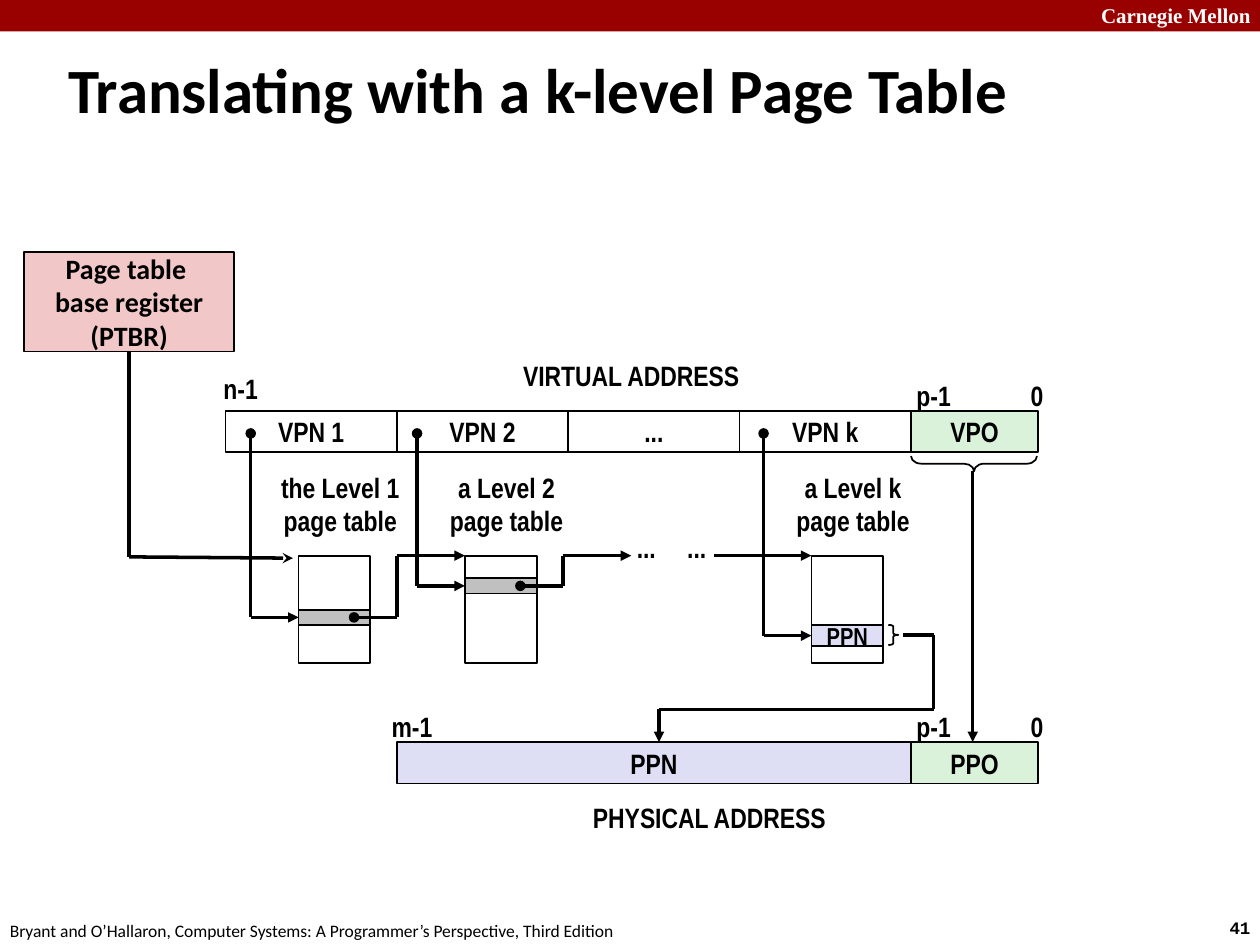
from pptx import Presentation
from pptx.dml.color import RGBColor
from pptx.enum.shapes import MSO_CONNECTOR as Conn, MSO_SHAPE as Shp
from pptx.enum.text import MSO_ANCHOR as Anch, MSO_AUTO_SIZE as Auto, PP_ALIGN as Al
from pptx.oxml.ns import qn
from pptx.util import Pt
from lxml.etree import SubElement as Sub

UNIT = 9144  # EMU in one px, 100 px to the inch
BLACK, WHITE, RED = "000000", "FFFFFF", "990000"
PINK, GREEN, LILAC, GRAY = "F1C7C7", "DBF2DA", "DEDFF5", "C0C0C0"
BOLD = {"name": "Arial Narrow", "size": Pt(16), "bold": True}
SMALL = {**BOLD, "size": Pt(14)}
CELL = 136  # width of one VPN field
BAR = 33    # height of an address bar


def px(*vals):
    return [round(v * UNIT) for v in vals]


def paint(fmt, tone):
    fmt.solid()
    fmt.fore_color.rgb = RGBColor.from_string(tone)


def write(frame, text, font, tone=BLACK, align=Al.CENTER, anchor=Anch.MIDDLE, wrap=True):
    frame.text = text
    attrs = {"word_wrap": wrap, "auto_size": Auto.NONE, "vertical_anchor": anchor}
    for key, val in attrs.items():
        setattr(frame, key, val)
    for par in frame.paragraphs:
        par.alignment = align
        for run in par.runs:
            for key, val in font.items():
                setattr(run.font, key, val)
            run.font.color.rgb = RGBColor.from_string(tone)


def shape(slide, x, y, w, h, fill=None, text="", font=BOLD, kind=Shp.RECTANGLE, line=BLACK):
    item = slide.shapes.add_shape(kind, *px(x, y, w, h))
    item.shadow.inherit = False
    if fill:
        paint(item.fill, fill)
    else:
        item.fill.background()
    if line:
        paint(item.line.fill, line)
        item.line.width = Pt(1)
    else:
        item.line.fill.background()
    if text:
        write(item.text_frame, text, font)
    return item


def brace(slide, x, y, w, h, bend, turn=0):
    item = shape(slide, x, y, w, h, kind=Shp.RIGHT_BRACE)
    item.adjustments[0] = bend
    item.rotation = turn


def label(slide, mid, y, w, text, h=37):
    box = slide.shapes.add_textbox(*px(mid - w / 2, y, w, h))
    write(box.text_frame, text, BOLD, wrap=False)


def route(slide, *spots, head=None, tail=None):
    """Join the spots with straight lines; head and tail mark the two ends."""
    last = len(spots) - 2
    for i, (a, b) in enumerate(zip(spots, spots[1:])):
        link = slide.shapes.add_connector(Conn.STRAIGHT, *px(*a, *b))
        paint(link.line.fill, BLACK)
        link.line.width = Pt(2)
        props = link._element.spPr
        Sub(props, qn("a:effectLst"))
        line = props.find(qn("a:ln"))
        if head and i == 0:
            Sub(line, qn("a:headEnd"), type=head)
        if tail and i == last:
            Sub(line, qn("a:tailEnd"), type=tail)


def banner(slide, w, h):
    # Top band, credit line and page number
    shape(slide, 0, 0, w, 25, RED, line=None)
    notes = [
        (w - 136, -3, 143, 30, "Carnegie Mellon", "Times New Roman", 12, True, WHITE),
        (w - 34, h - 27, 45, 27, "41", "Courier New", 10, True, BLACK),
        (-2, h - 25, 508, 27, "Bryant and O’Hallaron, Computer Systems: "
         "A Programmer’s Perspective, Third Edition", "Calibri", 10, False, BLACK),
    ]
    for x, y, wide, high, text, name, size, bold, tone in notes:
        box = slide.shapes.add_textbox(*px(x, y, wide, high))
        font = {"name": name, "size": Pt(size), "bold": bold}
        write(box.text_frame, text, font, tone, Al.LEFT, Anch.TOP)


def heading(slide, x, y, w, h):
    title = slide.shapes.title
    for key, val in zip(("left", "top", "width", "height"), px(x, y, w, h)):
        setattr(title, key, val)
    font = {"name": "Calibri", "size": Pt(36), "bold": True}
    write(title.text_frame, "Translating with a k-level Page Table", font, align=Al.LEFT)


def base(slide, x, y, w, h):
    # Base register and its pointer to the first table
    font = {**BOLD, "name": "Calibri"}
    shape(slide, x, y, w, h, PINK, "Page table \vbase register\n(PTBR)", font)
    mid = x + w / 2
    route(slide, (mid, y + h), (mid, y + 242), (mid + 130, y + 243), tail="stealth")


def address(slide, x, y, cells, high, wide, lift=31):
    # Row of fields with bit numbers above its ends
    left = x
    for text, w, fill in cells:
        shape(slide, left, y, w, BAR, fill, text)
        left += w
    label(slide, x + 12, y - lift, wide, high)
    label(slide, left - 83, y - 31, 48, "p-1")
    label(slide, left - 1, y - 31, 30, "0")


def level(slide, x, y, top, name, wide, text="", shift=0):
    # Page table, its entry and the index line from the VPN field
    high, fill = (17, LILAC) if text else (12, GRAY)
    mid = y + top + high / 2
    shape(slide, x, y, 57, 85)
    shape(slide, x, y + top, 57, high, fill, text, SMALL)
    route(slide, (x - 38, 344), (x - 38, mid), (x, mid), head="oval", tail="triangle")
    label(slide, x + 33 + shift, y - 73, wide, f"{name}\npage table", 64)
    if not text:
        bend = x + 78
        route(slide, (x + 44, mid), (bend, mid), (bend, y), (x + 132, y),
              head="oval", tail="triangle")


def tables(slide, x, y):
    level(slide, x, y, 43, "the Level 1", 115)
    level(slide, x + 132, y, 18, "a Level 2", 111)
    level(slide, x + 407, y, 55, "a Level k", 111, "PPN")
    for mid in (x + 276, x + 316):
        label(slide, mid, y - 25, 36, "...")
    route(slide, (x + 330, y), (x + 407, y), tail="triangle")


def result(slide, x, y, end):
    # PPN and VPO carried down to the physical address
    brace(slide, x, y, 8, 16, 0.16)
    route(slide, (x + 12, y + 8), (x + 36, y + 8), (x + 36, y + 67),
          (x - 182, y + 67), (x - 182, end), tail="triangle")
    brace(slide, x + 62, y - 178, 12, 100, 0.676, 90)
    route(slide, (x + 67, y - 122), (x + 67, end), tail="triangle")


def main():
    deck = Presentation()
    deck.slide_width, deck.slide_height = px(1000, 750)
    slide = deck.slides.add_slide(deck.slide_layouts[5])
    banner(slide, 1000, 750)
    heading(slide, 44, 27, 906, 86)
    base(slide, 19, 200, 167, 79)

    fields = [(t, CELL, None) for t in ("VPN 1", "VPN 2", "...", "VPN k")]
    address(slide, 179, 326, fields + [("VPO", 101, GREEN)], "n-1", 48, 36)
    label(slide, 501, 279, 194, "VIRTUAL ADDRESS")

    tables(slide, 237, 441)
    address(slide, 179 + CELL, 589,
            [("PPN", 3 * CELL, LILAC), ("PPO", 101, GREEN)], "m-1", 53)
    label(slide, 563, 630, 208, "PHYSICAL ADDRESS")
    result(slide, 705, 496, 589)
    deck.save("out.pptx")


if __name__ == "__main__":
    main()
